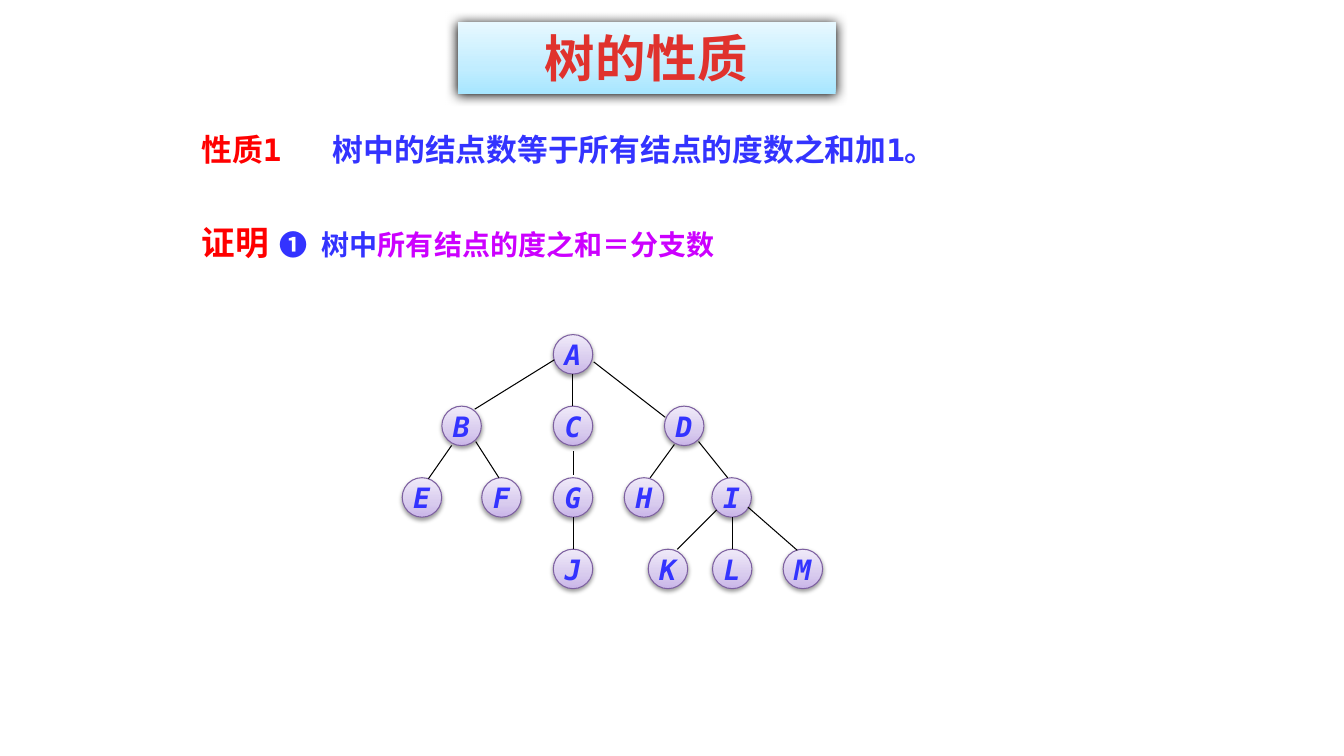
import copy

import pptx
import pptx.dml.color
import pptx.enum.shapes
import pptx.enum.text
import pptx.oxml
import pptx.oxml.ns
import pptx.util

Pt = pptx.util.Pt
qn = pptx.oxml.ns.qn
SHAPES = pptx.enum.shapes.MSO_SHAPE
ALIGN = pptx.enum.text.PP_ALIGN
ANCHOR = pptx.enum.text.MSO_ANCHOR

COLORS = {
    "heading": "E0322D", "label": "FF0000", "body": "3333FF", "accent": "CC00FF",
    "edge": "000000", "node_line": "7D60A0",
}
BANNER_STOPS = [(0, "A7E6FF"), (0.35, "C1EDFF"), (1, "E7F8FF")]
NODE_STOPS = [(0, "C9B5E8"), (0.35, "D8CBEE"), (1, "F0EAF9")]
MONO = "DejaVu Sans Mono"

NODE_SIZE = 28.2
TREE_TOP = 239
LEVEL_STEP = 51.1
LEVELS = [
    {"A": 395.2},
    {"B": 315.6, "C": 395.2, "D": 474.6},
    {"E": 287.3, "F": 344.1, "G": 395.2, "H": 445.9, "I": 508.5},
    {"J": 395.2, "K": 463, "L": 508.9, "M": 559.4},
]
EDGES = {
    "AB": (396, 257, 339.1, 292.3),
    "AC": (409, 267.1, 409, 290.2),
    "AD": (424.1, 258.5, 475.2, 298.1),
    "BE": (322.6, 318.2, 306, 342),
    "BF": (339.8, 315.4, 356.4, 341.3),
    "CG": (409.4, 322.2, 409.4, 339.1),
    "DH": (481.7, 317.5, 464.4, 341.3),
    "DI": (499, 315.4, 519.8, 341.3),
    "GJ": (409.4, 369.4, 409.4, 392.4),
    "IK": (511.9, 364.3, 483.8, 392.4),
    "IL": (523.3, 369.4, 523.3, 392.4),
    "IM": (534.2, 362.2, 569.5, 393.1),
}


def rgb(value):
    return pptx.dml.color.RGBColor.from_string(value)


def add_run(paragraph, text, size, color, font=MONO, italic=False):
    run = paragraph.add_run()
    run.text = text
    run.font.size = Pt(size)
    run.font.name = font
    run.font.bold = True
    run.font.italic = italic
    run.font.color.rgb = rgb(COLORS[color])
    return run


def add_effects(element, shadow=None):
    effects = pptx.oxml.parse_xml(f"<a:effectLst {pptx.oxml.ns.nsdecls('a')}/>")
    if shadow:
        alpha, blur, distance = shadow
        outer = effects.makeelement(qn("a:outerShdw"), {
            "blurRad": str(Pt(blur)), "dist": str(Pt(distance)),
            "dir": "5400000", "rotWithShape": "0",
        })
        tint = outer.makeelement(qn("a:srgbClr"), {"val": COLORS["edge"]})
        tint.append(tint.makeelement(qn("a:alpha"), {"val": str(alpha * 1000)}))
        outer.append(tint)
        effects.append(outer)
    element.spPr.append(effects)


def add_glossy_shape(slide, kind, box, stops, shadow):
    shape = slide.shapes.add_shape(kind, *map(Pt, box))
    shape.fill.gradient()
    shape.fill.gradient_angle = 90
    stop_list = shape._element.spPr.find(".//" + qn("a:gsLst"))
    stop_list.append(copy.deepcopy(stop_list[-1]))
    for stop, (position, color) in zip(shape.fill.gradient_stops, stops):
        stop.position = position
        stop.color.rgb = rgb(color)
    shape.line.fill.background()
    add_effects(shape._element, shadow)
    return shape


def add_banner(slide, text):
    banner = add_glossy_shape(slide, SHAPES.RECTANGLE, (326.9, 15.8, 270, 51.1),
                              BANNER_STOPS, (100, 8.5, 1))
    banner.text_frame.vertical_anchor = ANCHOR.TOP
    paragraph = banner.text_frame.paragraphs[0]
    paragraph.alignment = ALIGN.CENTER
    run = add_run(paragraph, text, 36, "heading", "Times New Roman")
    run.font._element.set("spc", "50")


def add_statement(slide, box, line_spacing, tabs, runs):
    frame = slide.shapes.add_textbox(*map(Pt, box)).text_frame
    frame.word_wrap = True
    paragraph = frame.paragraphs[0]
    paragraph.line_spacing = line_spacing
    properties = paragraph._p.get_or_add_pPr()
    tab_list = properties.makeelement(qn("a:tabLst"), {})
    for tab in tabs:
        tab_list.append(tab_list.makeelement(
            qn("a:tab"), {"pos": str(Pt(tab)), "algn": "l"}))
    properties.append(tab_list)
    for text, size, color in runs:
        add_run(paragraph, text, size, color)


def add_node(slide, letter, left, top):
    node = add_glossy_shape(slide, SHAPES.OVAL, (left, top, NODE_SIZE, NODE_SIZE),
                            NODE_STOPS, (38, 3.1, 1.6))
    node.line.color.rgb = rgb(COLORS["node_line"])
    node.line.width = Pt(0.75)
    node.text_frame.word_wrap = False
    node.text_frame.vertical_anchor = ANCHOR.MIDDLE
    paragraph = node.text_frame.paragraphs[0]
    paragraph.alignment = ALIGN.CENTER
    add_run(paragraph, letter, 20, "body", italic=True)


def add_edge(slide, ends):
    edge = slide.shapes.add_connector(
        pptx.enum.shapes.MSO_CONNECTOR.STRAIGHT, *map(Pt, ends))
    edge.line.color.rgb = rgb(COLORS["edge"])
    edge.line.width = Pt(0.75)
    add_effects(edge._element)


def main():
    deck = pptx.Presentation()
    deck.slide_width, deck.slide_height = Pt(960), Pt(540)
    slide = deck.slides.add_slide(deck.slide_layouts[6])
    add_statement(slide, (136.8, 82.1, 568, 38.9), 1.3, [94], [
        ("性质1\t", 22, "label"),
        ("树中的结点数等于所有结点的度数之和加1。", 22, "body"),
    ])
    add_banner(slide, "树的性质")
    for level, nodes in enumerate(LEVELS):
        for letter, left in nodes.items():
            add_node(slide, letter, left, TREE_TOP + level * LEVEL_STEP)
    for ends in EDGES.values():
        add_edge(slide, ends)
    add_statement(slide, (136.8, 151.9, 416.2, 37.4), Pt(32), [56, 86], [
        ("证明", 24, "label"),
        ("\t❶\t树中", 20, "body"),
        ("所有结点的度之和＝分支数", 20, "accent"),
    ])
    deck.save("out.pptx")


if __name__ == "__main__":
    main()
